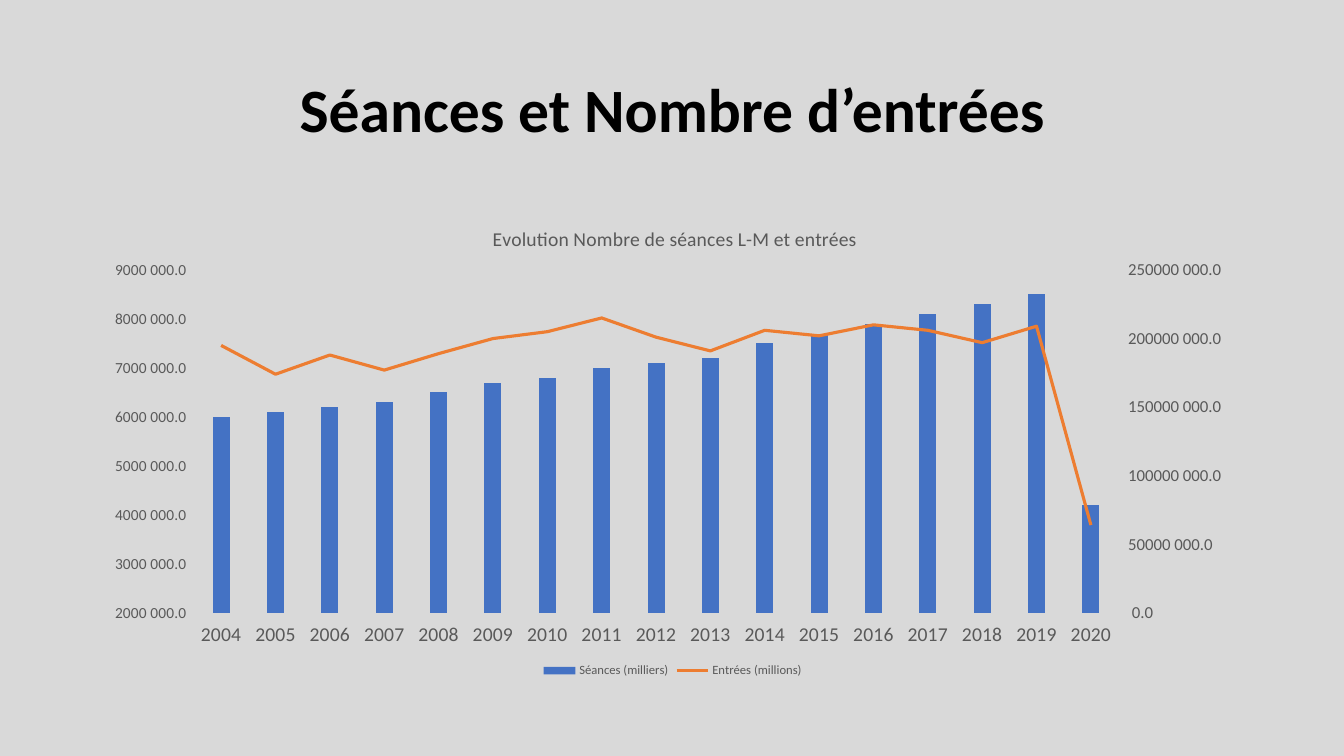
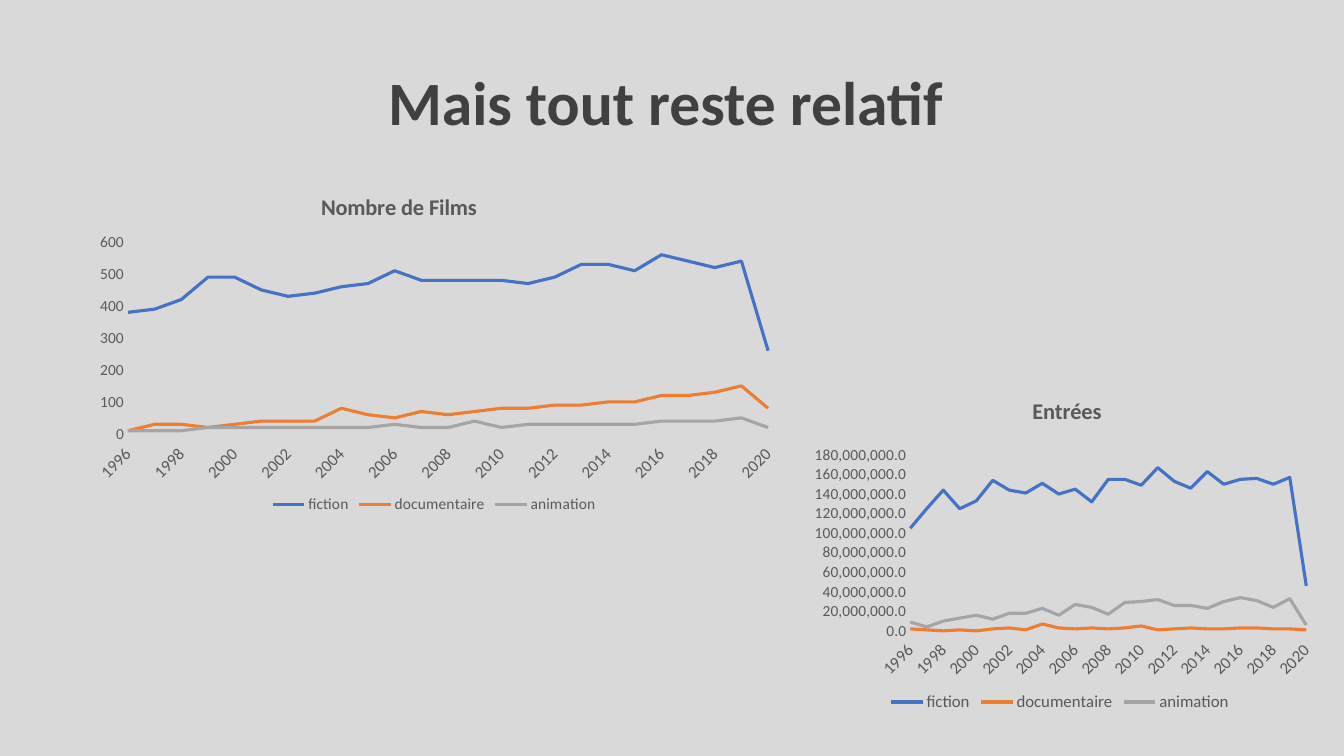
import dataclasses

import pptx
import pptx.chart.axis
import pptx.chart.data
import pptx.dml.color
import pptx.enum.chart
import pptx.enum.text
import pptx.oxml
import pptx.oxml.ns
import pptx.util

PIXEL = 914400 / 100.8
MILLION = 1_000_000
CHART_TYPE = pptx.enum.chart.XL_CHART_TYPE
TICK = pptx.enum.chart.XL_TICK_MARK


@dataclasses.dataclass(frozen=True)
class Theme:
    """Colours, font and type sizes shared by the slides."""
    font: str = "Calibri"
    background: str = "D9D9D9"
    black: str = "000000"
    charcoal: str = "404040"
    label: str = "595959"
    series: tuple = ("4472C4", "ED7D31", "A5A5A5")
    title: int = 44
    heading: int = 16
    large: int = 14
    medium: int = 12
    small: int = 11
    tiny: int = 9
    line: float = 2.25
    hairline: float = 0.75


@dataclasses.dataclass(frozen=True)
class Scale:
    """Range, step and number format of a value axis."""
    low: float
    high: float
    step: float
    number_format: str


def length(pixels):
    """Turn pixels into EMU."""
    return pptx.util.Emu(round(pixels * PIXEL))


def color(code):
    """Turn a hex code into a colour."""
    return pptx.dml.color.RGBColor.from_string(code)


def place_part(parent, index, frame, box, inner=False):
    """Fix a chart part at a pixel box (left, top[, width, height])."""
    for layout in parent.xpath("c:layout"):
        parent.remove(layout)
    left, top, width, height = frame
    ratios = zip("xywh", box, (left, top, 0, 0), (width, height, width, height))
    values = {name: (value - start) / size for name, value, start, size in ratios}
    target = '<c:layoutTarget val="inner"/>' if inner else ""
    modes = "".join(f'<c:{name}Mode val="edge"/>' for name in "xy")
    numbers = "".join(f'<c:{name} val="{value:.4f}"/>' for name, value in values.items())
    parent.insert(index, pptx.oxml.parse_xml(
        f'<c:layout {pptx.oxml.ns.nsdecls("c")}><c:manualLayout>'
        f"{target}{modes}{numbers}</c:manualLayout></c:layout>"))


class Presenter:
    """Holds the theme, the deck and the current slide."""

    def __init__(self, theme):
        """Start a deck with the shared background."""
        self.theme = theme
        self.deck = pptx.Presentation()
        self.deck.slide_width = pptx.util.Inches(13.33)
        self.deck.slide_height = pptx.util.Inches(7.5)
        fill = self.deck.slide_master.background.fill
        fill.solid()
        fill.fore_color.rgb = color(theme.background)
        self.page = None

    def style(self, font, size, code, bold=False):
        """Format a font."""
        font.name, font.size, font.bold = self.theme.font, pptx.util.Pt(size), bold
        font.color.rgb = color(code)

    def add_page(self, title, code, height):
        """Add a slide with its centred title."""
        self.page = self.deck.slides.add_slide(self.deck.slide_layouts[5])
        box = self.page.shapes.title
        box.left, box.top, box.width, box.height = map(length, (93, 40, 1159, height))
        frame = box.text_frame
        frame.text = title
        frame.word_wrap = True
        frame.auto_size = pptx.enum.text.MSO_AUTO_SIZE.NONE
        frame.vertical_anchor = pptx.enum.text.MSO_ANCHOR.MIDDLE
        para = frame.paragraphs[0]
        para.alignment = pptx.enum.text.PP_ALIGN.CENTER
        para.line_spacing = 0.9
        self.style(para.runs[0].font, self.theme.title, code, True)

    def add_chart(self, kind, frame, plot, years, series):
        """Add a chart whose plot area fills a pixel box."""
        data = pptx.chart.data.CategoryChartData()
        data.categories = [str(year) for year in years]
        for name, values in series.items():
            data.add_series(name, values)
        chart = self.page.shapes.add_chart(kind, *map(length, frame), data).chart
        self.style(chart.font, 10, self.theme.black)
        place_part(chart.element.xpath("c:chart/c:plotArea")[0], 0, frame, plot, True)
        chart.plots[0].vary_by_categories = False
        return chart

    def title_chart(self, chart, frame, text, corner, size, bold):
        """Give a chart its heading at a pixel position."""
        chart.has_title = True
        box = chart.chart_title.text_frame
        box.text = text
        self.style(box.paragraphs[0].runs[0].font, size, self.theme.label, bold)
        place_part(chart.element.xpath("c:chart/c:title")[0], 1, frame, corner)

    def add_legend(self, chart, size):
        """Put the legend below the plot."""
        chart.has_legend = True
        chart.legend.position = pptx.enum.chart.XL_LEGEND_POSITION.BOTTOM
        chart.legend.include_in_layout = False
        self.style(chart.legend.font, size, self.theme.label)

    def style_categories(self, axis, size):
        """Format the year axis."""
        axis.major_tick_mark = TICK.NONE
        axis.tick_label_position = pptx.enum.chart.XL_TICK_LABEL_POSITION.LOW
        axis.format.line.color.rgb = color(self.theme.background)
        axis.format.line.width = pptx.util.Pt(self.theme.hairline)
        self.style(axis.tick_labels.font, size, self.theme.label)

    def style_values(self, axis, scale, size, grid=True):
        """Format a value axis."""
        axis.minimum_scale, axis.maximum_scale = scale.low, scale.high
        axis.major_unit = scale.step
        axis.major_tick_mark = TICK.NONE if grid else TICK.OUTSIDE
        axis.format.line.fill.background()
        axis.tick_labels.number_format = scale.number_format
        axis.tick_labels.number_format_is_linked = False
        self.style(axis.tick_labels.font, size, self.theme.label)
        axis.has_major_gridlines = grid
        if grid:
            line = axis.major_gridlines.format.line
            line.color.rgb = color(self.theme.background)
            line.width = pptx.util.Pt(self.theme.hairline)

    def style_line(self, series, code):
        """Draw a series as a plain straight line."""
        series.smooth = False
        series.marker.style = pptx.enum.chart.XL_MARKER_STYLE.NONE
        series.format.line.color.rgb = color(code)
        series.format.line.width = pptx.util.Pt(self.theme.line)

    def move_to_right_axis(self, chart):
        """Turn the last column series into a line and return its right axis."""
        area = chart.element.xpath("c:chart/c:plotArea")[0]
        bars = area.xpath("c:barChart")[0]
        series = bars.xpath("c:ser")[-1]
        for flag in series.xpath("c:invertIfNegative"):
            series.remove(flag)
        space = pptx.oxml.ns.nsdecls("c")
        lines = pptx.oxml.parse_xml(
            f'<c:lineChart {space}><c:grouping val="standard"/><c:varyColors val="0"/>'
            '<c:marker val="1"/><c:axId val="501"/><c:axId val="502"/></c:lineChart>')
        lines.insert(2, series)
        bars.addnext(lines)
        axes = []
        for tag, own, other, side, hidden, ending in (
                ("valAx", 502, 501, "r", 0, '<c:crosses val="max"/><c:crossBetween val="between"/>'),
                ("catAx", 501, 502, "b", 1, '<c:crosses val="autoZero"/>')):
            axis = pptx.oxml.parse_xml(
                f'<c:{tag} {space}><c:axId val="{own}"/>'
                '<c:scaling><c:orientation val="minMax"/></c:scaling>'
                f'<c:delete val="{hidden}"/><c:axPos val="{side}"/>'
                '<c:majorTickMark val="out"/><c:minorTickMark val="none"/>'
                f'<c:tickLblPos val="nextTo"/><c:crossAx val="{other}"/>{ending}</c:{tag}>')
            area.xpath("c:valAx|c:catAx")[-1].addnext(axis)
            axes.append(axis)
        return pptx.chart.axis.ValueAxis(axes[0])

    def add_combined_chart(self, frame, plot, years, series, title, corner, left, right):
        """Add columns with a line on a right axis."""
        theme = self.theme
        chart = self.add_chart(CHART_TYPE.COLUMN_CLUSTERED, frame, plot, years, series)
        self.title_chart(chart, frame, title, corner, theme.large, False)
        self.add_legend(chart, theme.tiny)
        self.style_categories(chart.category_axis, theme.large)
        self.style_values(chart.value_axis, left, theme.small)
        self.style_values(self.move_to_right_axis(chart), right, theme.medium, False)
        columns, lines = chart.plots
        columns.gap_width, columns.overlap = 219, -27
        fill = columns.series[0].format.fill
        fill.solid()
        fill.fore_color.rgb = color(theme.series[0])
        self.style_line(lines.series[0], theme.series[1])

    def add_line_chart(self, frame, plot, years, series, title, corner, scale, legend_size):
        """Add a line chart with slanted years, starting on the value axis."""
        theme = self.theme
        chart = self.add_chart(CHART_TYPE.LINE, frame, plot, years, series)
        self.title_chart(chart, frame, title, corner, theme.heading, True)
        self.add_legend(chart, legend_size)
        self.style_categories(chart.category_axis, theme.medium)
        self.style_values(chart.value_axis, scale, theme.small)
        chart.element.xpath("//c:catAx/c:txPr/a:bodyPr")[0].set("rot", "-2700000")
        axis = chart.element.xpath("//c:valAx")[0]
        for crossing in axis.xpath("c:crossBetween"):
            axis.remove(crossing)
        axis.xpath("c:crossAx|c:crosses")[-1].addnext(pptx.oxml.parse_xml(
            f'<c:crossBetween {pptx.oxml.ns.nsdecls("c")} val="midCat"/>'))
        for line, code in zip(chart.plots[0].series, theme.series):
            self.style_line(line, code)


def scaled(values, unit):
    """Multiply values by a unit."""
    return [round(value * unit) for value in values]


SCREENINGS = [6, 6.1, 6.2, 6.3, 6.5, 6.7, 6.8, 7, 7.1, 7.2, 7.5, 7.7, 7.9, 8.1, 8.3, 8.5, 4.2]
ADMISSIONS = [195, 174, 188, 177, 189, 200, 205, 215, 201, 191, 206, 202, 210, 206, 197, 209, 64]
FILMS = {
    "fiction": [38, 39, 42, 49, 49, 45, 43, 44, 46, 47, 51, 48, 48, 48, 48, 47, 49, 53, 53,
                51, 56, 54, 52, 54, 26],
    "documentaire": [1, 3, 3, 2, 3, 4, 4, 4, 8, 6, 5, 7, 6, 7, 8, 8, 9, 9, 10, 10, 12, 12,
                     13, 15, 8],
    "animation": [1, 1, 1, 2, 2, 2, 2, 2, 2, 2, 3, 2, 2, 4, 2, 3, 3, 3, 3, 3, 4, 4, 4, 5, 2],
}
GENRE_ADMISSIONS = {
    "fiction": [105, 125, 144, 125, 133, 154, 144, 141, 151, 140, 145, 132, 155, 155, 149,
                167, 153, 146, 163, 150, 155, 156, 150, 157, 46],
    "documentaire": [2, 1, 0, 1, 0, 2, 3, 1, 7, 3, 2, 3, 2, 3, 5, 1, 2, 3, 2, 2, 3, 3, 2, 2, 1],
    "animation": [9, 4, 10, 13, 16, 12, 18, 18, 23, 16, 27, 24, 17, 29, 30, 32, 26, 26, 23,
                  30, 34, 31, 24, 33, 6],
}
SPACED = "#\\ ##0.0\\ "


def main():
    """Build both slides and save the deck."""
    theme = Theme()
    show = Presenter(theme)

    show.add_page("Séances et Nombre d’entrées", theme.black, 146)
    show.add_combined_chart(
        (93, 202, 1159, 480), (194, 270, 924, 343), range(2004, 2021),
        {"Séances (milliers)": scaled(SCREENINGS, MILLION),
         "Entrées (millions)": scaled(ADMISSIONS, MILLION)},
        "Evolution Nombre de séances L-M et entrées", (489, 222),
        Scale(2 * MILLION, 9 * MILLION, MILLION, SPACED),
        Scale(0, 250 * MILLION, 50 * MILLION, SPACED))

    show.add_page("Mais tout reste relatif ", theme.charcoal, 132)
    years = range(1996, 2021)
    show.add_line_chart(
        (72, 172, 724, 346), (128, 242, 640, 192), years,
        {name: scaled(values, 10) for name, values in FILMS.items()},
        "Nombre de Films", (317, 188), Scale(0, 600, 100, "#,##0"), theme.small)
    show.add_line_chart(
        (795, 386, 529, 330), (910, 455, 396, 176), years,
        {name: scaled(values, MILLION) for name, values in GENRE_ADMISSIONS.items()},
        "Entrées", (1028, 392), Scale(0, 180 * MILLION, 20 * MILLION, "#,##0.0"), theme.medium)

    show.deck.save("out.pptx")


main()
